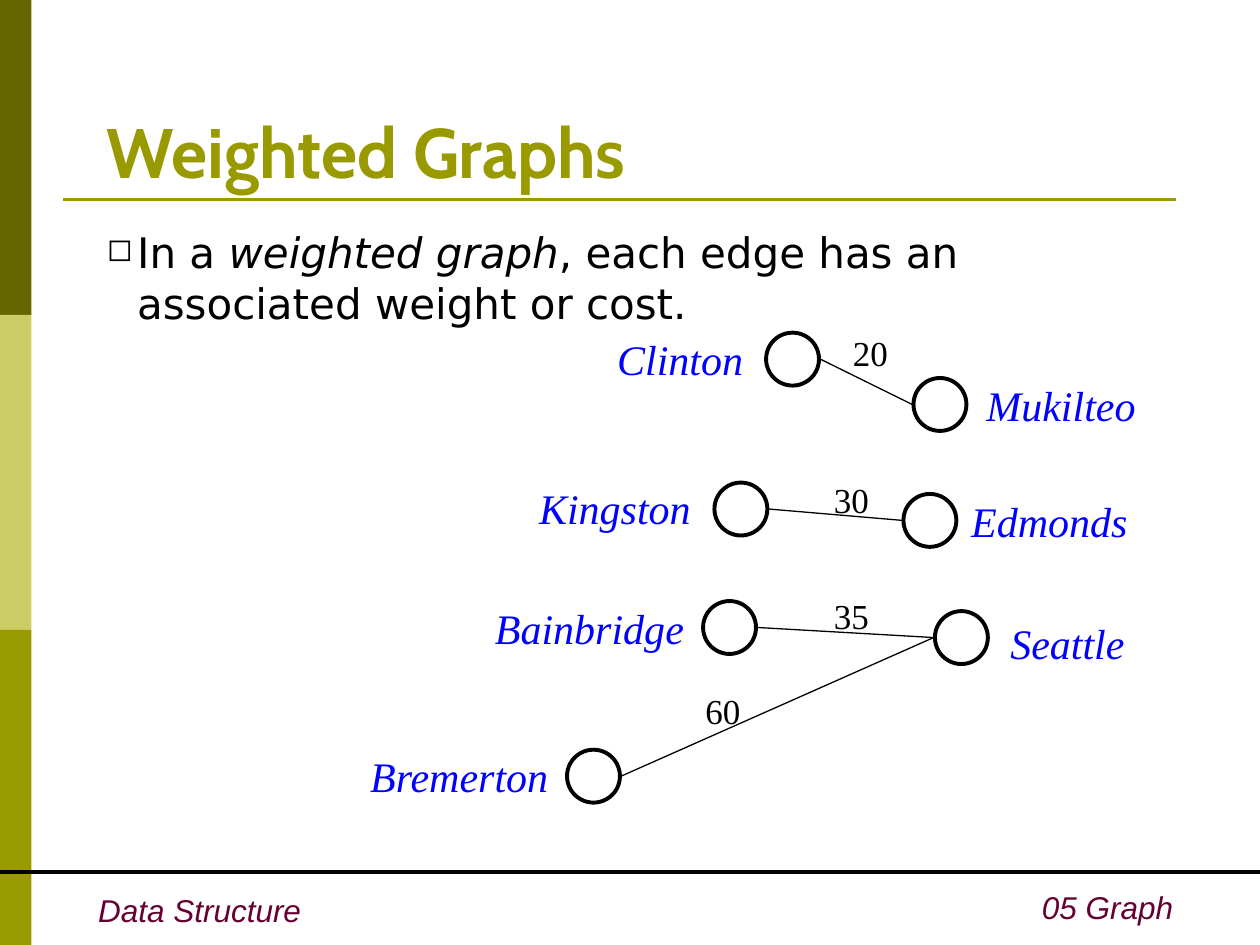
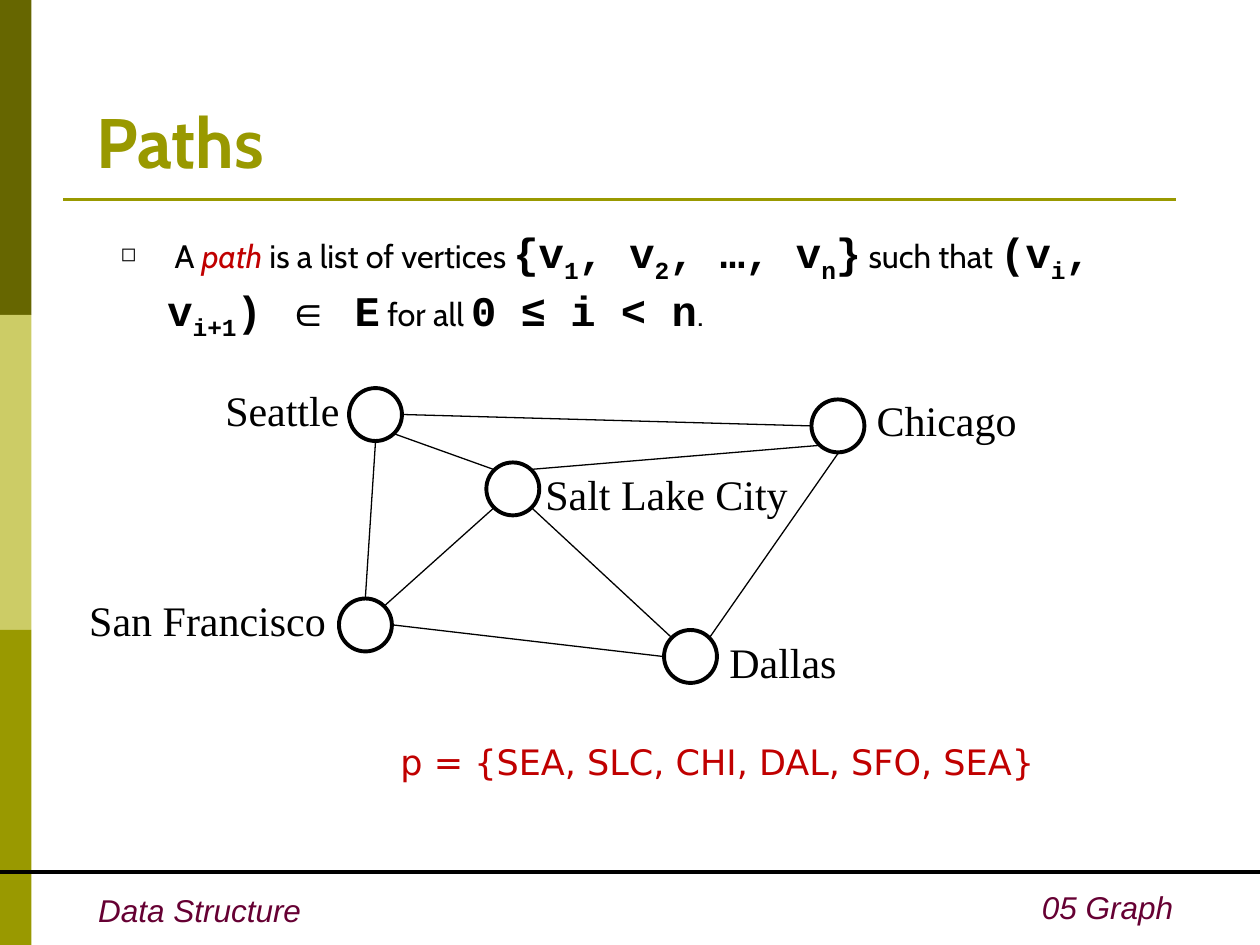
from dataclasses import dataclass, replace
from enum import Enum
from math import cos, radians, sin

from lxml.etree import SubElement
from pptx import Presentation
from pptx.dml.color import RGBColor
from pptx.enum.shapes import MSO_CONNECTOR as Connector, MSO_SHAPE as Shape
from pptx.enum.text import MSO_ANCHOR as Anchor, MSO_AUTO_SIZE as AutoSize, PP_ALIGN as Align
from pptx.oxml.ns import qn
from pptx.slide import Slide
from pptx.text.text import TextFrame, _Paragraph as Paragraph
from pptx.util import Inches, Pt

BLACK = RGBColor(0x00, 0x00, 0x00)
WHITE = RGBColor(0xFF, 0xFF, 0xFF)
DARK_OLIVE = RGBColor(0x66, 0x66, 0x00)
PALE_OLIVE = RGBColor(0xCC, 0xCC, 0x66)
OLIVE = RGBColor(0x99, 0x99, 0x00)
MAROON = RGBColor(0x66, 0x00, 0x33)
BLUE = RGBColor(0x00, 0x00, 0xFF)
RED = RGBColor(0xC0, 0x00, 0x00)

SLIDE_WIDTH, SLIDE_HEIGHT = 10, 7.5
BAND_WIDTH, BAND_HEIGHT = 0.25, 2.5
NODE_SIZE = 0.42
EDGE_REACH = 0.22  # from a node's centre to the end of an edge


@dataclass(frozen=True)
class Style:
    font: str
    size: float
    color: RGBColor = BLACK
    bold: bool = False
    italic: bool = False
    baseline: int = 0


@dataclass(frozen=True)
class Box:
    left: float
    top: float
    width: float
    height: float


@dataclass(frozen=True)
class City:
    name: str
    left: float
    top: float
    label_left: float
    label_top: float
    label_width: float


class Side(Enum):
    """Where an edge meets a node, in degrees clockwise from the right."""
    E = 0
    SE = 45
    S = 90
    SW = 135
    W = 180
    NW = 225
    N = 270
    NE = 315


@dataclass(frozen=True)
class Edge:
    start: str
    start_side: Side
    end: str
    end_side: Side


@dataclass(frozen=True)
class Weight:
    value: str
    left: float
    top: float


TITLE = Style("Cabin", 40, OLIVE, bold=True)
FOOTER = Style("Arial", 18, MAROON, italic=True)
BODY = Style("DejaVu Sans", 24)
ANSWER = Style("DejaVu Sans", 20, RED)
CITY = Style("Times New Roman", 24)
FERRY_CITY = replace(CITY, color=BLUE, italic=True)
WEIGHT = replace(CITY, size=20)
PROSE = Style("Cabin", 18.5)
TERM = replace(PROSE, color=RED, italic=True)
MATH = Style("Courier New", 24.1, bold=True)
SYMBOL = replace(MATH, font="Arial")
SUBSCRIPT = replace(MATH, baseline=-25)

Runs = list[tuple[str, Style]]

FERRY_CITIES = [
    City("Mukilteo", 7.25, 3, 7.73, 2.96, 1.42),
    City("Edmonds", 7.17, 3.92, 7.61, 3.88, 1.48),
    City("Seattle", 7.42, 4.85, 7.92, 4.85, 1.14),
    City("Bremerton", 4.5, 5.95, 2.84, 5.91, 1.66),
    City("Bainbridge", 5.58, 4.77, 3.83, 4.73, 1.74),
    City("Kingston", 5.67, 3.83, 4.18, 3.78, 1.44),
    City("Clinton", 6.08, 2.64, 4.8, 2.6, 1.24),
]
FERRY_ROUTES = [
    Edge(west, Side.E, east, Side.W)
    for west, east in [("Clinton", "Mukilteo"), ("Kingston", "Edmonds"),
                       ("Bainbridge", "Seattle"), ("Bremerton", "Seattle")]
]
FERRY_WEIGHTS = [
    Weight("20", 6.67, 2.58),
    Weight("30", 6.52, 3.75),
    Weight("35", 6.52, 4.67),
    Weight("60", 5.5, 5.42),
]

FLIGHT_CITIES = [
    City("Seattle", 2.77, 3.08, 1.69, 3, 1.14),
    City("San Francisco", 2.69, 4.75, 0.61, 4.67, 2.12),
    City("Dallas", 5.27, 5, 5.69, 5, 1.09),
    City("Chicago", 6.44, 3.17, 6.86, 3.08, 1.35),
    City("Salt Lake City", 3.86, 3.67, 4.23, 3.67, 2.16),
]
FLIGHTS = [
    Edge("San Francisco", Side.N, "Seattle", Side.S),
    Edge("Chicago", Side.S, "Dallas", Side.NE),
    Edge("Chicago", Side.W, "Seattle", Side.E),
    Edge("Seattle", Side.SE, "Salt Lake City", Side.NW),
    Edge("San Francisco", Side.NE, "Salt Lake City", Side.SW),
    Edge("Salt Lake City", Side.SE, "Dallas", Side.NW),
    Edge("Salt Lake City", Side.NE, "Chicago", Side.SW),
    Edge("Dallas", Side.W, "San Francisco", Side.E),
]

PATH_DEFINITION: Runs = [
    (" A ", PROSE), ("path", TERM), (" is a list of vertices ", PROSE),
    ("{v", MATH), ("1", SUBSCRIPT), (", v", MATH), ("2", SUBSCRIPT),
    (", …, v", MATH), ("n", SUBSCRIPT), ("}", MATH), (" such that ", PROSE),
    ("(v", MATH), ("i", SUBSCRIPT), (", v", MATH), ("i+1", SUBSCRIPT),
    (") ", MATH), ("∈", SYMBOL), (" E", MATH), (" for all ", PROSE),
    ("0 ", MATH), ("≤", SYMBOL), (" i < n", MATH), (".", PROSE),
]


def add_runs(paragraph: Paragraph, runs: Runs) -> None:
    for text, style in runs:
        run = paragraph.add_run()
        run.text = text
        font = run.font
        font.name, font.size = style.font, Pt(style.size)
        font.bold, font.italic = style.bold, style.italic
        font.color.rgb = style.color
        if style.baseline:
            run._r.get_or_add_rPr().set("baseline", str(style.baseline * 1000))


def add_text(slide: Slide, box: Box, runs: Runs, wrap: bool = True, grow: bool = True) -> TextFrame:
    frame = slide.shapes.add_textbox(
        Inches(box.left), Inches(box.top), Inches(box.width), Inches(box.height)).text_frame
    frame.word_wrap = wrap
    frame.auto_size = AutoSize.SHAPE_TO_FIT_TEXT if grow else AutoSize.NONE
    add_runs(frame.paragraphs[0], runs)
    return frame


def set_hanging(paragraph: Paragraph, margin: float, hanging: float) -> None:
    properties = paragraph._p.get_or_add_pPr()
    properties.set("marL", str(Inches(margin)))
    properties.set("indent", str(-Inches(hanging)))


def add_bullet(paragraph: Paragraph, size_percent: int) -> None:
    properties = paragraph._p.get_or_add_pPr()
    color = SubElement(properties, qn("a:buClr"))
    SubElement(color, qn("a:srgbClr")).set("val", str(BLACK))
    SubElement(properties, qn("a:buSzPct")).set("val", str(size_percent * 1000))
    SubElement(properties, qn("a:buChar")).set("char", "◻")


def add_line(slide: Slide, start: tuple[float, float], end: tuple[float, float],
             color: RGBColor, width: float) -> None:
    line = slide.shapes.add_connector(
        Connector.STRAIGHT, *(Inches(value) for value in (*start, *end)))
    line.line.color.rgb = color
    line.line.width = Pt(width)
    SubElement(line._element.spPr, qn("a:effectLst"))


def add_frame(slide: Slide, title: str, title_left: float, title_top: float) -> None:
    """Draw the side bands, rules, footers and title."""
    for index, color in enumerate((DARK_OLIVE, PALE_OLIVE, OLIVE)):
        band = slide.shapes.add_shape(
            Shape.RECTANGLE, 0, Inches(index * BAND_HEIGHT), Inches(BAND_WIDTH), Inches(BAND_HEIGHT))
        band.shadow.inherit = False
        band.fill.solid()
        band.fill.fore_color.rgb = color
        band.line.fill.background()
    add_line(slide, (0.5, 1.58), (9.33, 1.58), OLIVE, 1.75)
    add_line(slide, (0, 6.92), (SLIDE_WIDTH, 6.92), BLACK, 2.25)
    add_text(slide, Box(0.68, 7.02, 1.81, 0.4), [("Data Structure", FOOTER)], wrap=False)
    chapter = add_text(slide, Box(5.24, 7, 4.17, 0.4), [("05 Graph", FOOTER)])
    chapter.paragraphs[0].alignment = Align.RIGHT
    heading = add_text(slide, Box(title_left, title_top, 8.5, 1.25), [(title, TITLE)], grow=False)
    heading.vertical_anchor = Anchor.BOTTOM


def edge_end(city: City, side: Side) -> tuple[float, float]:
    angle = radians(side.value)
    return (city.left + NODE_SIZE / 2 + EDGE_REACH * cos(angle),
            city.top + NODE_SIZE / 2 + EDGE_REACH * sin(angle))


def add_graph(slide: Slide, cities: list[City], edges: list[Edge], label_style: Style) -> None:
    for city in cities:
        node = slide.shapes.add_shape(
            Shape.OVAL, Inches(city.left), Inches(city.top), Inches(NODE_SIZE), Inches(NODE_SIZE))
        node.shadow.inherit = False
        node.fill.solid()
        node.fill.fore_color.rgb = WHITE
        node.line.color.rgb = BLACK
        node.line.width = Pt(2.25)
        add_text(slide, Box(city.label_left, city.label_top, city.label_width, 0.5),
                 [(city.name, label_style)], wrap=False)
    by_name = {city.name: city for city in cities}
    for edge in edges:
        add_line(slide, edge_end(by_name[edge.start], edge.start_side),
                 edge_end(by_name[edge.end], edge.end_side), BLACK, 0.75)


def build_weighted_graphs(slide: Slide) -> None:
    add_frame(slide, "Weighted Graphs", 0.75, 0.33)
    add_graph(slide, FERRY_CITIES, FERRY_ROUTES, FERRY_CITY)
    for weight in FERRY_WEIGHTS:
        add_text(slide, Box(weight.left, weight.top, 0.48, 0.44),
                 [(weight.value, WEIGHT)], wrap=False)
    definition = add_text(slide, Box(0.75, 1.75, 8.08, 0.9), [
        ("In a ", BODY), ("weighted graph", replace(BODY, italic=True)),
        (", each edge has an associated weight or cost.", BODY)]).paragraphs[0]
    set_hanging(definition, 0.24, 0.24)
    add_bullet(definition, 75)


def build_paths(slide: Slide) -> None:
    add_frame(slide, "Paths", 0.67, 0.25)
    definition = add_text(slide, Box(0.75, 1.75, 8.5, 1.08), PATH_DEFINITION, grow=False).paragraphs[0]
    definition.space_before = Pt(12.5)
    set_hanging(definition, 0.48, 0.37)
    add_bullet(definition, 60)
    add_graph(slide, FLIGHT_CITIES, FLIGHTS, CITY)
    answer = add_text(slide, Box(3.08, 5.83, 6.08, 0.58),
                      [("p = {SEA, SLC, CHI, DAL, SFO, SEA}", ANSWER)], grow=False).paragraphs[0]
    answer.space_before = Pt(5)
    set_hanging(answer, 0.38, 0.38)


def main() -> None:
    deck = Presentation()
    deck.slide_width, deck.slide_height = Inches(SLIDE_WIDTH), Inches(SLIDE_HEIGHT)
    blank = deck.slide_layouts[6]
    for build in (build_weighted_graphs, build_paths):
        build(deck.slides.add_slide(blank))
    deck.save("out.pptx")


if __name__ == "__main__":
    main()
